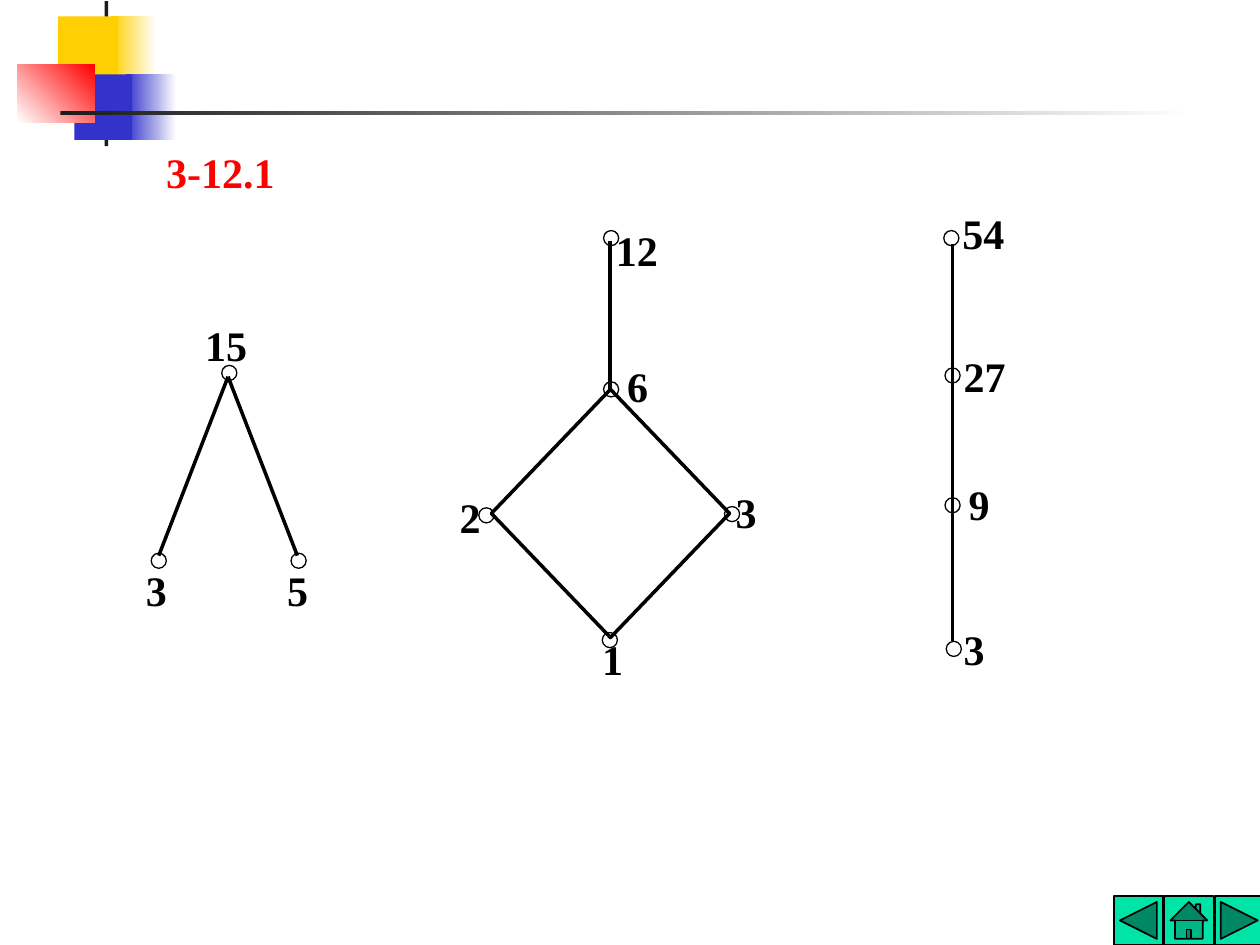
from dataclasses import dataclass
from typing import NamedTuple

from pptx import Presentation, util as u
from pptx.dml.color import RGBColor
from pptx.enum import shapes as es, text as et
from pptx.oxml.ns import qn

COLS, ROWS = 100, 75
CELL = u.Inches(0.1)
KIND = es.MSO_SHAPE
DOT = 1.2  # node diameter in cells


@dataclass(frozen=True)
class Theme:
    font: str = "Times New Roman"
    size: int = 24
    ink: str = "000000"
    title: str = "FF0000"
    dark: str = "1C1C1C"
    gold: str = "FFCF01"
    blue: str = "3333CC"
    red: str = "FF0000"
    white: str = "FFFFFF"
    button: str = "00E4A8"
    thin: float = 0.75
    edge: float = 1
    thick: float = 2


class Box(NamedTuple):
    x: float
    y: float
    w: float
    h: float

    def inner(self, x, y, w, h):
        """Place a box, given in cells from the corner of this one."""
        return Box(self.x + x, self.y + y, w, h)

    def emu(self):
        return [round(v * CELL) for v in self]


T = Theme()


def tint(code):
    return RGBColor.from_string(code)


def shape(slide, kind, box, fill=None, line=None, ang=0):
    """Add a shape: no fill, one colour, or a pair of gradient colours."""
    item = slide.shapes.add_shape(kind, *box.emu())
    item.shadow.inherit = False
    if fill is None:
        item.fill.background()
    elif isinstance(fill, tuple):
        item.fill.gradient()
        item.fill.gradient_angle = ang
        for stop, code in zip(item.fill.gradient_stops, fill):
            stop.color.rgb = tint(code)
    else:
        item.fill.solid()
        item.fill.fore_color.rgb = tint(fill)
    if line is None:
        item.line.fill.background()
    else:
        item.line.color.rgb = tint(T.ink)
        item.line.width = u.Pt(line)
    return item


def label(slide, box, words, code=T.ink, wrap=False, space=1.0):
    frame = slide.shapes.add_textbox(*box.emu()).text_frame
    frame.word_wrap = wrap
    para = frame.paragraphs[0]
    para.text = words
    para.line_spacing = space
    para.alignment = et.PP_ALIGN.LEFT if wrap else et.PP_ALIGN.CENTER
    font = para.runs[0].font
    font.name, font.size, font.bold = T.font, u.Pt(T.size), True
    font.color.rgb = tint(code)


def edge(slide, box, x1, y1, x2, y2):
    ends = [round(v * CELL) for v in
            (box.x + x1, box.y + y1, box.x + x2, box.y + y2)]
    line = slide.shapes.add_connector(es.MSO_CONNECTOR.STRAIGHT, *ends)
    line.line.color.rgb = tint(T.ink)
    line.line.width = u.Pt(T.thick)
    props = line._element.spPr
    props.append(props.makeelement(qn("a:effectLst"), {}))


def banner(slide, box):
    """Overlapping squares with a fading rule."""
    blocks = [
        ((7.4, 1.2, 3.6, 5.2), (T.gold, T.white), 0),
        ((8.6, 5.8, 4, 5.2), (T.blue, T.white), 0),
        ((6.9, 0, 0.3, 11.5), T.dark, 0),
        ((3.2, 1.2, 4.8, 5.2), T.gold, 0),
        ((4.5, 5.8, 4.6, 5.2), T.blue, 0),
        ((0, 5, 6.1, 4.6), (T.white, T.red), 45),
        ((3.4, 8.7, 90, 0.3), (T.dark, T.white), 0),
    ]
    for place, fill, ang in blocks:
        shape(slide, KIND.RECTANGLE, box.inner(*place), fill, ang=ang)


def buttons(slide, box):
    """Back, home and next buttons in equal columns."""
    kinds = (KIND.ACTION_BUTTON_BACK_OR_PREVIOUS, KIND.ACTION_BUTTON_HOME,
             KIND.ACTION_BUTTON_FORWARD_OR_NEXT)
    step = box.w / len(kinds)
    for i, kind in enumerate(kinds):
        place = box.inner(i * step, 0, step - 0.1, box.h)
        shape(slide, kind, place, T.button, T.edge)


def hasse(slide, box, edges, nodes, diamond=None):
    """Order diagram; each node is (text, label corner, dot corner)."""
    for ends in edges:
        edge(slide, box, *ends)
    if diamond:
        shape(slide, KIND.DIAMOND, box.inner(*diamond), line=T.thick)
    for words, spot, _ in nodes:
        wide = 1.9 + 1.7 * len(words)
        label(slide, box.inner(*spot, wide, 5), words)
    for _, _, spot in nodes:
        shape(slide, KIND.OVAL, box.inner(*spot, DOT, DOT), line=T.thin)


def main():
    deck = Presentation()
    deck.slide_width, deck.slide_height = COLS * CELL, ROWS * CELL
    slide = deck.slides.add_slide(deck.slide_layouts[6])

    banner(slide, Box(1.4, 0.1, 94, 11.5))
    buttons(slide, Box(88.4, 71.1, 12, 3.9))
    label(slide, Box(12.2, 9.9, 72.4, 6.2), "3-12.1", T.title, True, 1.3)

    # Chain of powers
    hasse(slide, Box(74, 16, 7, 38), [(1.6, 3.4, 1.6, 34.9)], [
        ("54", (1.4, 0), (0.9, 2.3)),
        ("27", (1.5, 11.3), (1, 13.2)),
        ("9", (1.9, 21.5), (1, 23.5)),
        ("3", (1.5, 33), (1.1, 34.9)),
    ])
    # Two-branch tree
    hasse(slide, Box(10, 25, 16, 25),
          [(8.1, 4.9, x, 19.1) for x in (13.6, 2.6)], [
        ("15", (5.3, -0.1), (7.6, 4)),
        ("5", (11.8, 19.3), (13.1, 18.9)),
        ("3", (0.6, 19.3), (2, 18.9)),
    ])
    # Divisors of twelve
    hasse(slide, Box(35, 17, 26, 38), [(13.4, 2.1, 13.4, 13.9)], [
        ("12", (12.9, 0.3), (12.9, 1.3)),
        ("6", (13.8, 11.1), (12.9, 13.3)),
        ("3", (22.4, 21.1), (22.5, 23.2)),
        ("1", (11.8, 32.8), (12.8, 33.2)),
        ("2", (0.5, 21.5), (3, 23.3)),
    ], diamond=(4, 13.9, 18.9, 19.7))

    deck.save("out.pptx")


if __name__ == "__main__":
    main()
